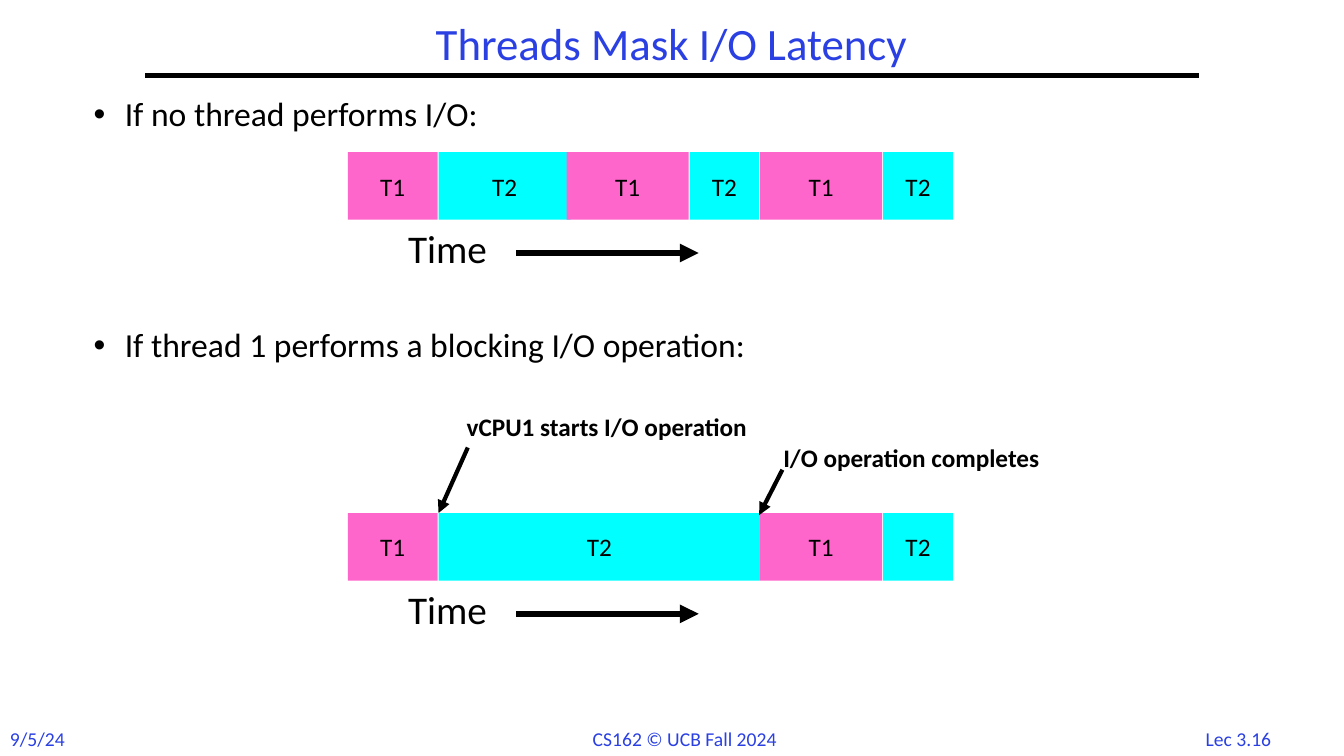
from lxml import etree
from pptx import Presentation
from pptx import util as u
from pptx.dml.color import RGBColor
from pptx.enum import shapes, text
from pptx.oxml.ns import qn

BLACK, BLUE = "000000", "2A40E2"
THREAD_COLORS = {"T1": "FF66CC", "T2": "00FFFF"}
BAR_HEIGHT = 0.67


def color(value):
    return RGBColor.from_string(value)


def format_paragraph(paragraph, size, hex_color=BLACK, bold=False, align=text.PP_ALIGN.LEFT):
    font = paragraph.font
    font.name, font.size, font.bold = "Calibri", u.Pt(size), bold
    font.color.rgb = color(hex_color)
    paragraph.alignment = align


def add_text(slide, words, left, top, width, height, size, **style):
    box = slide.shapes.add_textbox(*map(u.Inches, (left, top, width, height)))
    box.text_frame.word_wrap = True
    box.text_frame.text = words
    format_paragraph(box.text_frame.paragraphs[0], size, **style)


def add_line(slide, start, end, width, arrow=False):
    line = slide.shapes.add_connector(
        shapes.MSO_CONNECTOR.STRAIGHT, *map(u.Inches, (*start, *end)))
    line.line.color.rgb = color(BLACK)
    line.line.width = u.Pt(width)
    if arrow:
        etree.SubElement(line.line._get_or_add_ln(), qn("a:tailEnd"), type="triangle")
    etree.SubElement(line._element.spPr, qn("a:effectLst"))


def add_title(slide, words):
    title = slide.shapes.title
    title.left, title.top, title.width, title.height = map(u.Inches, (1.44, 0.17, 10.44, 0.58))
    title.text_frame.text = words
    title.text_frame.vertical_anchor = text.MSO_ANCHOR.MIDDLE
    paragraph = title.text_frame.paragraphs[0]
    paragraph.line_spacing = 0.9
    format_paragraph(paragraph, 32, BLUE, align=text.PP_ALIGN.CENTER)


def add_bullets(slide, items):
    box = slide.shapes.add_textbox(*map(u.Inches, (0.83, 0.92, 11.5, 5.25)))
    frame = box.text_frame
    frame.word_wrap = True
    frame.text = "\n".join(items)
    for paragraph in frame.paragraphs:
        format_paragraph(paragraph, 24)
        paragraph.line_spacing = 0.9
        properties = paragraph._p.get_or_add_pPr()
        properties.set("marL", str(u.Inches(0.31)))
        properties.set("indent", str(u.Inches(-0.31)))
        bullet_font = etree.Element(qn("a:buFont"), typeface="Arial")
        bullet = etree.Element(qn("a:buChar"), char="•")
        position = list(properties).index(properties.find(qn("a:lnSpc"))) + 1
        properties[position:position] = [bullet_font, bullet]
    for paragraph in frame.paragraphs[1:]:
        paragraph.space_before = u.Pt(139)


def add_segment(slide, thread, left, top, width):
    segment = slide.shapes.add_shape(
        shapes.MSO_SHAPE.RECTANGLE, *map(u.Inches, (left, top, width, BAR_HEIGHT)))
    segment.shadow.inherit = False
    segment.fill.solid()
    segment.fill.fore_color.rgb = color(THREAD_COLORS[thread])
    segment.line.fill.background()
    frame = segment.text_frame
    frame.text = thread
    frame.vertical_anchor = text.MSO_ANCHOR.MIDDLE
    format_paragraph(frame.paragraphs[0], 18, align=text.PP_ALIGN.CENTER)


def add_timeline(slide, top, segments):
    for thread, left, width in segments:
        add_segment(slide, thread, left, top, width)
    add_text(slide, "Time", 3.95, top + BAR_HEIGHT, 1.17, 0.57, 28)
    add_line(slide, (5.12, top + 1), (6.93, top + 1), 4.5, arrow=True)


def add_event(slide, words, left, top, width, start, end):
    add_line(slide, start, end, 3, arrow=True)
    add_text(slide, words, left, top, width, 0.4, 18, bold=True)


def main():
    presentation = Presentation()
    presentation.slide_width = u.Inches(13.33)
    presentation.slide_height = u.Inches(7.5)
    slide = presentation.slides.add_slide(presentation.slide_layouts[5])

    add_title(slide, "Threads Mask I/O Latency")
    add_line(slide, (1.44, 0.75), (11.89, 0.75), 3)
    add_bullets(slide, ["If no thread performs I/O:",
                        "If thread 1 performs a blocking I/O operation:"])

    first = [("T1", 3.45, 0.89)]
    last = [("T1", 7.54, 1.21), ("T2", 8.76, 0.69)]
    switching = [("T2", 4.35, 1.31), ("T1", 5.62, 1.21), ("T2", 6.84, 0.69)]
    blocked = [("T2", 4.35, 3.19)]
    add_timeline(slide, 1.51, first + switching + last)
    add_timeline(slide, 5.09, first + blocked + last)
    add_event(slide, "vCPU1 starts I/O operation", 4.53, 4.03, 3.4, (4.64, 4.44), (4.35, 5.09))
    add_event(slide, "I/O operation completes", 7.67, 4.34, 3.08, (7.76, 4.66), (7.53, 5.11))

    for words, left, width in [("9/5/24", 0, 0.9),
                               ("CS162 © UCB Fall 2024", 5.78, 2.13),
                               ("Lec 3.16", 11.86, 0.97)]:
        add_text(slide, words, left, 7.16, width, 0.34, 14, hex_color=BLUE)

    presentation.save("out.pptx")


if __name__ == "__main__":
    main()
